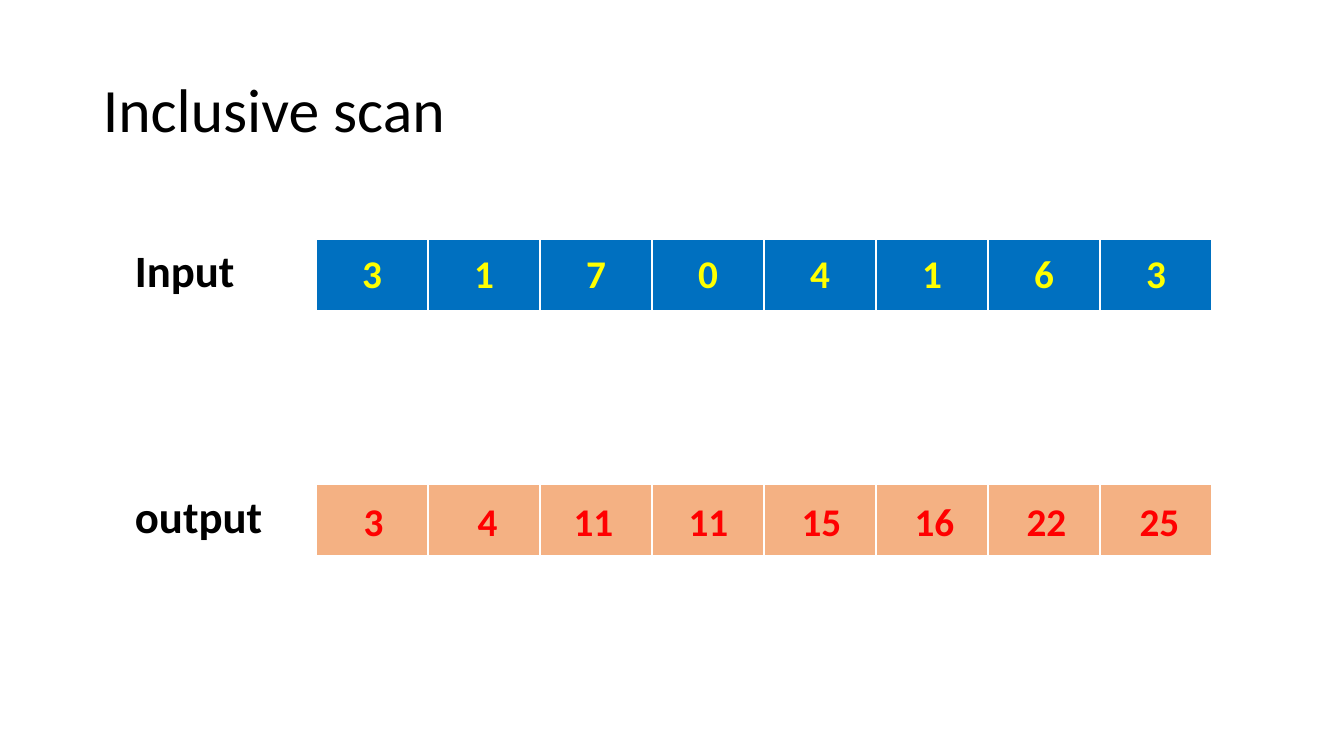
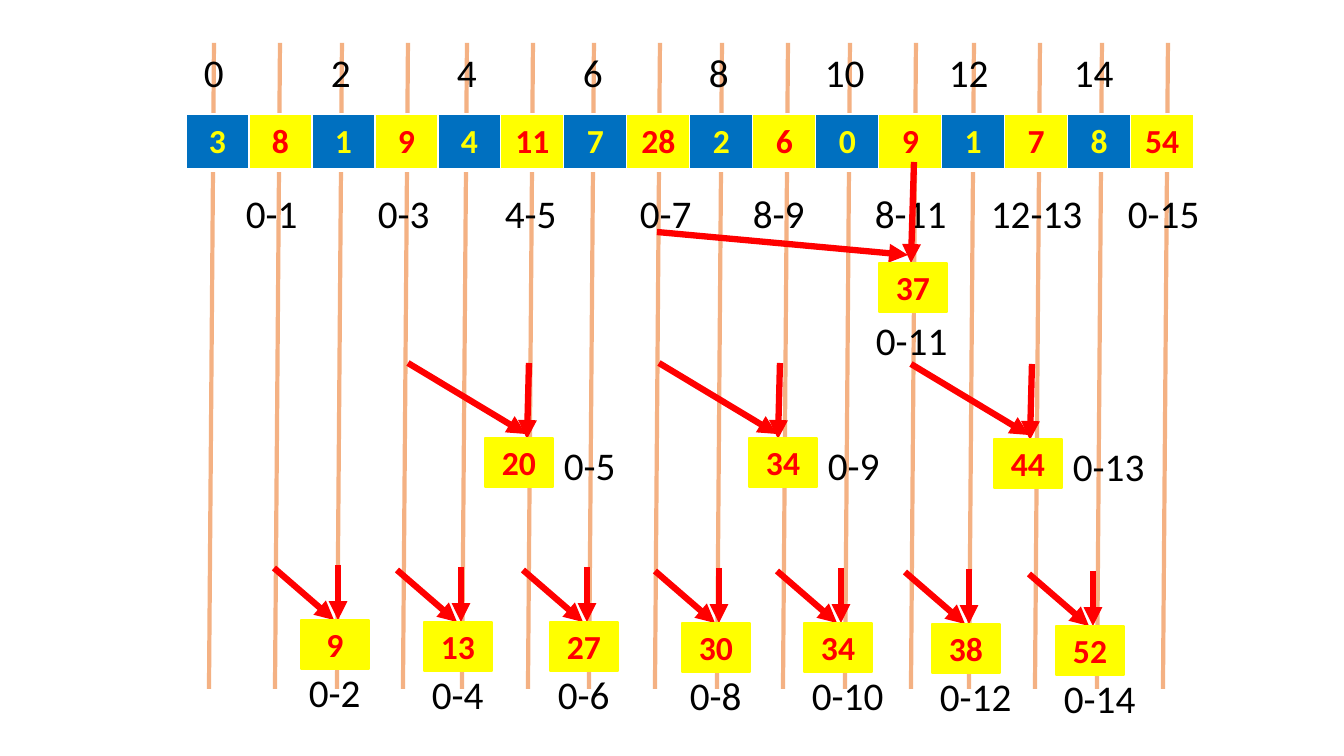
import pptx
import pptx.dml.color
import pptx.enum.shapes
import pptx.enum.text
import pptx.oxml.ns
import pptx.util
from lxml import etree

PIXEL = 914400 / 100.8
FONT = "Calibri"
BLACK = pptx.dml.color.RGBColor(0x00, 0x00, 0x00)
WHITE = pptx.dml.color.RGBColor(0xFF, 0xFF, 0xFF)
BLUE = pptx.dml.color.RGBColor(0x00, 0x70, 0xC0)
YELLOW = pptx.dml.color.RGBColor(0xFF, 0xFF, 0x00)
RED = pptx.dml.color.RGBColor(0xFF, 0x00, 0x00)
PEACH = pptx.dml.color.RGBColor(0xF4, 0xB1, 0x83)

TITLE = {"size": 44, "color": BLACK, "bold": False}
ROW_NAME = {"size": 32, "color": BLACK, "bold": True}
LABEL = {"size": 28, "color": BLACK, "bold": False}
INPUT_VALUE = {"size": 28, "color": YELLOW, "bold": True}
OUTPUT_VALUE = {"size": 28, "color": RED, "bold": True}
PLAIN_VALUE = {"size": 24, "color": YELLOW, "bold": True}
SUM_VALUE = {"size": 24, "color": RED, "bold": True}
BORDERS = {"a:lnL": 1, "a:lnR": 1, "a:lnT": 1, "a:lnB": 3}

MIDDLE = pptx.enum.text.MSO_ANCHOR.MIDDLE
CENTER = pptx.enum.text.PP_ALIGN.CENTER

INPUTS = [3, 1, 7, 0, 4, 1, 6, 3]
OUTPUTS = [(10, 3), (124, 4), (230, 11), (345, 11),
           (458, 15), (571, 16), (683, 22), (796, 25)]

SWEPT_VALUES = [3, 8, 1, 9, 4, 11, 7, 28, 2, 6, 0, 9, 1, 7, 8, 54]
EVEN_LANES = [214, 342, 467, 594, 722, 850, 974, 1102]
LANE_GAP = 66
INDEX_LEFTS = [194, 321, 447, 573, 699, 815, 939, 1064]
SPANS = [(236, 92, "0-1"), (368, 102, "0-3"), (495, 76, "4-5"),
         (630, 85, "0-7"), (743, 85, "8-9"), (865, 104, "8-11"),
         (981, 115, "12-13"), (1118, 101, "0-15")]

# Arrows run from the step's source x and its box top; labels from the box corner.
# Each step: source x, box left, box top, value, span.
LEVELS = [
    {"diagonal": (0, -31, 251, -8), "vertical": (257, -101, 254, 0),
     "label": (-13, 48), "steps": [(657, 879, 263, 37, "0-11")]},
    {"diagonal": (0, -75, 118, -4), "vertical": (121, -75, 119, 1),
     "label": (69, -2),
     "steps": [(408, 485, 438, 20, "0-5"), (659, 749, 438, 34, "0-9"),
               (911, 994, 439, 44, "0-13")]},
    {"diagonal": (0, -52, 60, 0), "vertical": (64, -55, 64, 0),
     "label": (-2, 43),
     "steps": [(left - 27, left, top, value, span) for left, top, value, span in [
         (301, 620, 9, "0-2"), (424, 622, 13, "0-4"), (550, 622, 27, "0-6"),
         (682, 623, 30, "0-8"), (804, 623, 34, "0-10"),
         (932, 624, 38, "0-12"), (1056, 626, 52, "0-14")]]},
]


def px(*lengths):
    """Turn pixel lengths into EMU."""
    return [pptx.util.Emu(round(length * PIXEL)) for length in lengths]


def write(text_frame, text, style, **layout):
    """Write one styled paragraph and apply its paragraph layout."""
    paragraph = text_frame.paragraphs[0]
    for name, value in layout.items():
        setattr(paragraph, name, value)
    run = paragraph.add_run()
    run.text = str(text)
    formats = {"name": FONT, "size": pptx.util.Pt(style["size"]), "bold": style["bold"]}
    for name, value in formats.items():
        setattr(run.font, name, value)
    run.font.color.rgb = style["color"]


def add_label(slide, box, text, style):
    """Add left-aligned text in a box that grows with it."""
    text_frame = slide.shapes.add_textbox(*px(*box)).text_frame
    text_frame.word_wrap = True
    text_frame.auto_size = pptx.enum.text.MSO_AUTO_SIZE.SHAPE_TO_FIT_TEXT
    write(text_frame, text, style)


def add_title(slide, box, text):
    """Add the slide title, centred vertically in its box."""
    text_frame = slide.shapes.add_textbox(*px(*box)).text_frame
    text_frame.word_wrap = True
    text_frame.vertical_anchor = MIDDLE
    write(text_frame, text, TITLE, line_spacing=0.9)


def add_value_box(slide, box, value, style, fill, outlined):
    """Add a filled rectangle holding one centred value."""
    shape = slide.shapes.add_shape(pptx.enum.shapes.MSO_SHAPE.RECTANGLE, *px(*box))
    shape.shadow.inherit = False
    shape.fill.solid()
    shape.fill.fore_color.rgb = fill
    if outlined:
        shape.line.color.rgb = fill
        shape.line.width = pptx.util.Pt(1)
    else:
        shape.line.fill.background()
    shape.text_frame.vertical_anchor = MIDDLE
    write(shape.text_frame, value, style, alignment=CENTER)


def add_line(slide, ends, color, width, arrow=False):
    """Add a straight line from (x, y) to (x, y), with an optional arrowhead."""
    line = slide.shapes.add_connector(
        pptx.enum.shapes.MSO_CONNECTOR.STRAIGHT, *px(*ends))
    line.line.color.rgb = color
    line.line.width = pptx.util.Pt(width)
    properties = line._element.spPr
    if arrow:
        outline = properties.find(pptx.oxml.ns.qn("a:ln"))
        etree.SubElement(outline, pptx.oxml.ns.qn("a:tailEnd"), type="triangle")
    etree.SubElement(properties, pptx.oxml.ns.qn("a:effectLst"))


def add_borders(cell):
    """Give a cell white borders."""
    properties = cell._tc.get_or_add_tcPr()
    for tag, points in BORDERS.items():
        border = etree.SubElement(properties, pptx.oxml.ns.qn(tag),
                                  w=str(pptx.util.Pt(points)))
        fill = etree.SubElement(border, pptx.oxml.ns.qn("a:solidFill"))
        etree.SubElement(fill, pptx.oxml.ns.qn("a:srgbClr"), val=str(WHITE))


def add_array(slide, box, values, looks):
    """Add a one-row table; the (fill, style) looks alternate along the cells."""
    table = slide.shapes.add_table(1, len(values), *px(*box)).table
    left, top, width, height = box
    for index, value in enumerate(values):
        table.columns[index].width = px(width / len(values))[0]
        fill, style = looks[index % len(looks)]
        cell = table.cell(0, index)
        add_borders(cell)
        cell.fill.solid()
        cell.fill.fore_color.rgb = fill
        cell.vertical_anchor = MIDDLE
        if value is not None:
            write(cell.text_frame, value, style, alignment=CENTER)


def add_step(slide, level, source, left, top, value, span):
    """Add two arrows meeting at a partial sum, with the span it covers."""
    for name in ("diagonal", "vertical"):
        x1, y1, x2, y2 = level[name]
        add_line(slide, (source + x1, top + y1, source + x2, top + y2), RED, 4.5, True)
    add_value_box(slide, (left, top, 68, 49), value, SUM_VALUE, YELLOW, True)
    dx, dy = level["label"]
    add_label(slide, (left + dx, top + dy, 104, 57), span, LABEL)


def build_inclusive_scan(slide):
    """Show the input array above its inclusive scan."""
    left, width, height = 316, 896, 73
    input_top, output_top = 239, 484
    add_array(slide, (left, input_top, width, height), INPUTS, [(BLUE, INPUT_VALUE)])
    add_array(slide, (left, output_top, width, height), [None] * len(OUTPUTS),
              [(PEACH, OUTPUT_VALUE)])
    add_label(slide, (125, input_top - 1, 121, 65), "Input", ROW_NAME)
    add_label(slide, (125, output_top, 151, 65), "output", ROW_NAME)
    for offset, value in OUTPUTS:
        add_value_box(slide, (left + offset, output_top + 4, 95, 65), value,
                      OUTPUT_VALUE, PEACH, False)
    add_title(slide, (93, 40, 1159, 146), "Inclusive scan")


def build_down_sweep(slide):
    """Show partial sums spreading down the lanes of the array."""
    for even in EVEN_LANES:
        for x in (even, even + LANE_GAP):
            add_line(slide, (x, 43, x - 5, 689), PEACH, 3)
    add_array(slide, (186, 114, 1008, 56), SWEPT_VALUES,
              [(BLUE, PLAIN_VALUE), (YELLOW, SUM_VALUE)])
    for position, left in enumerate(INDEX_LEFTS):
        add_label(slide, (left, 43, 68, 57), 2 * position, LABEL)
    for left, width, span in SPANS:
        add_label(slide, (left, 184, width, 57), span, LABEL)
    for level in LEVELS:
        for step in level["steps"]:
            add_step(slide, level, *step)


def main():
    """Build and save the presentation."""
    presentation = pptx.Presentation()
    presentation.slide_width, presentation.slide_height = px(1344, 756)
    blank = presentation.slide_layouts[6]
    for build in (build_inclusive_scan, build_down_sweep):
        build(presentation.slides.add_slide(blank))
    presentation.save("out.pptx")


main()
